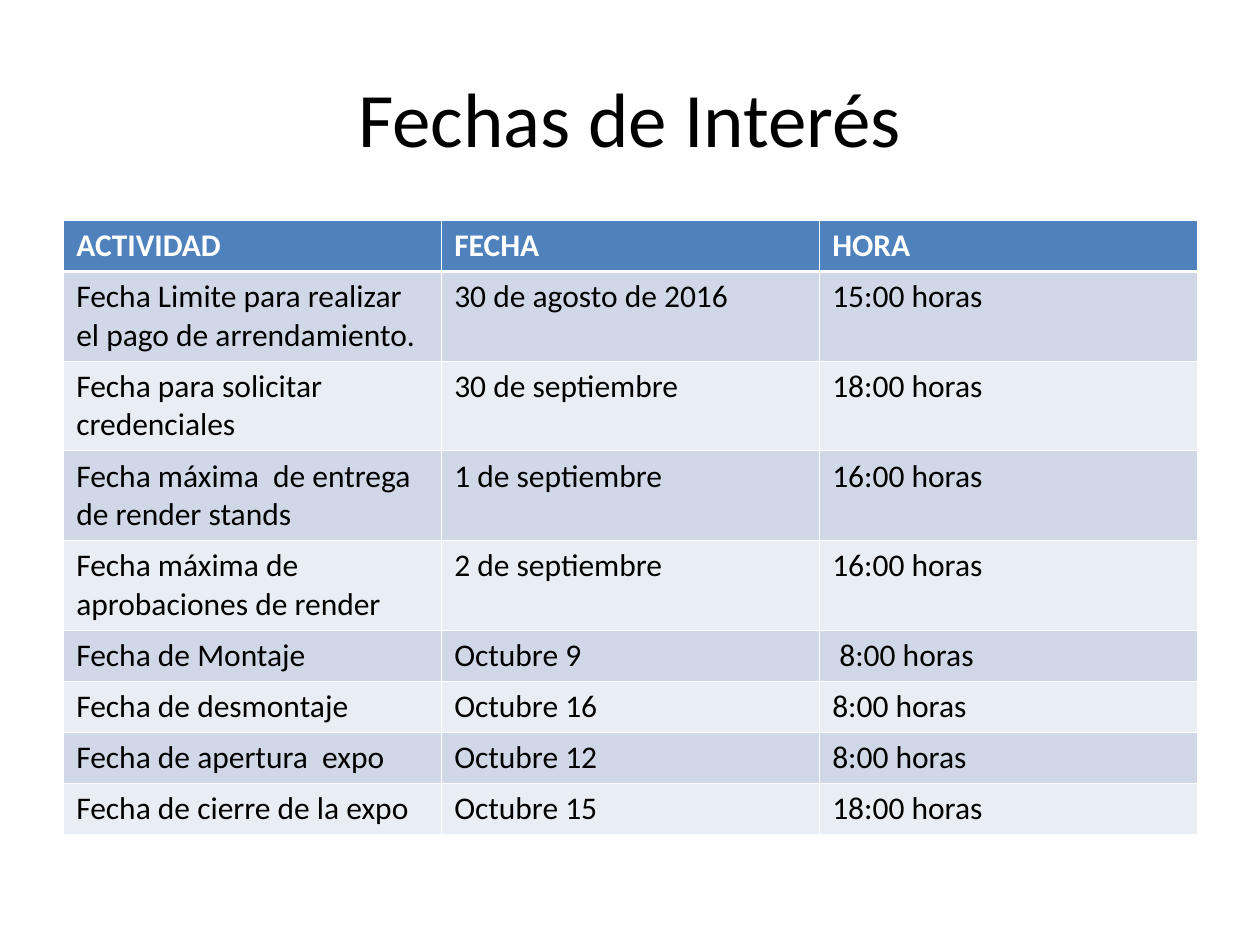
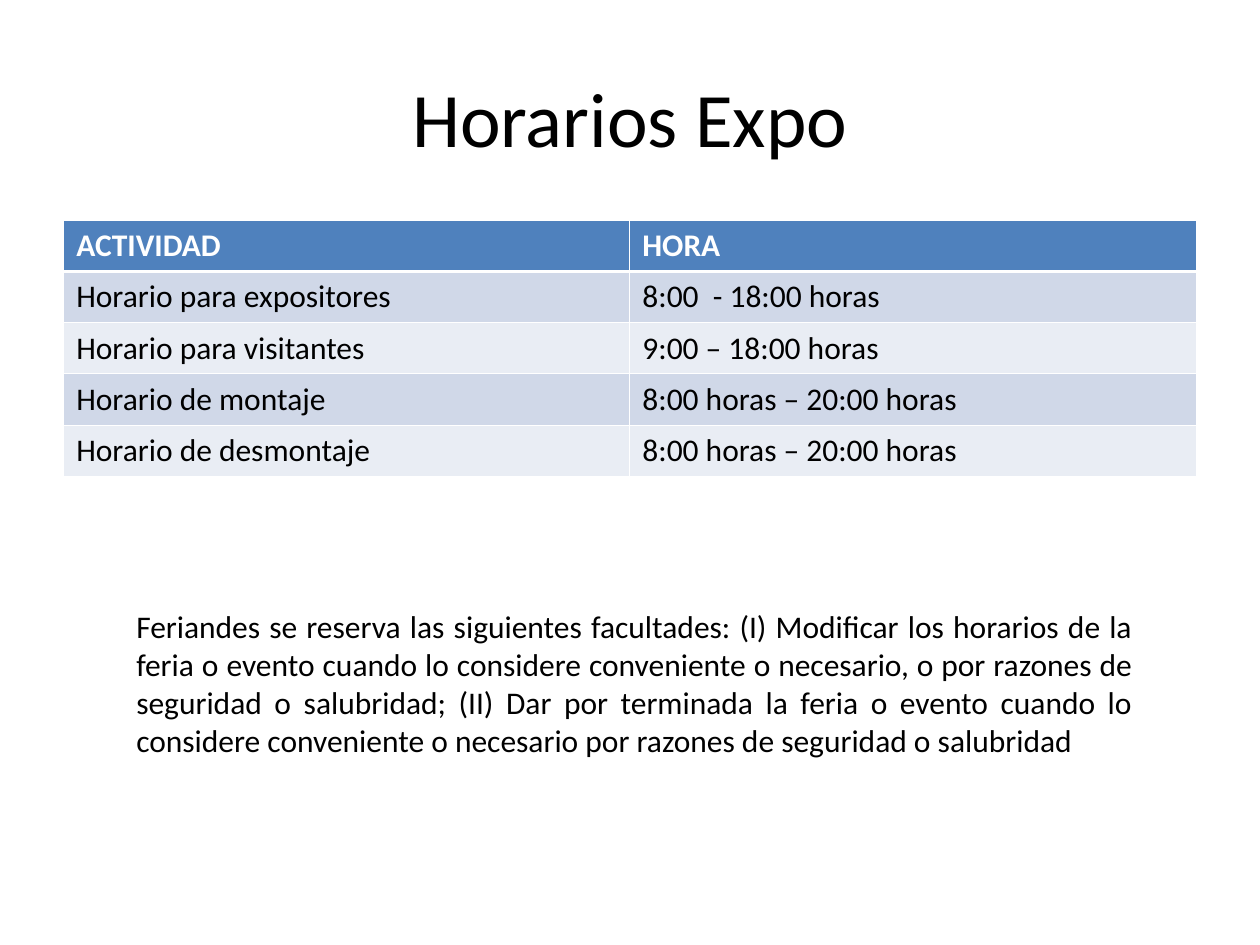
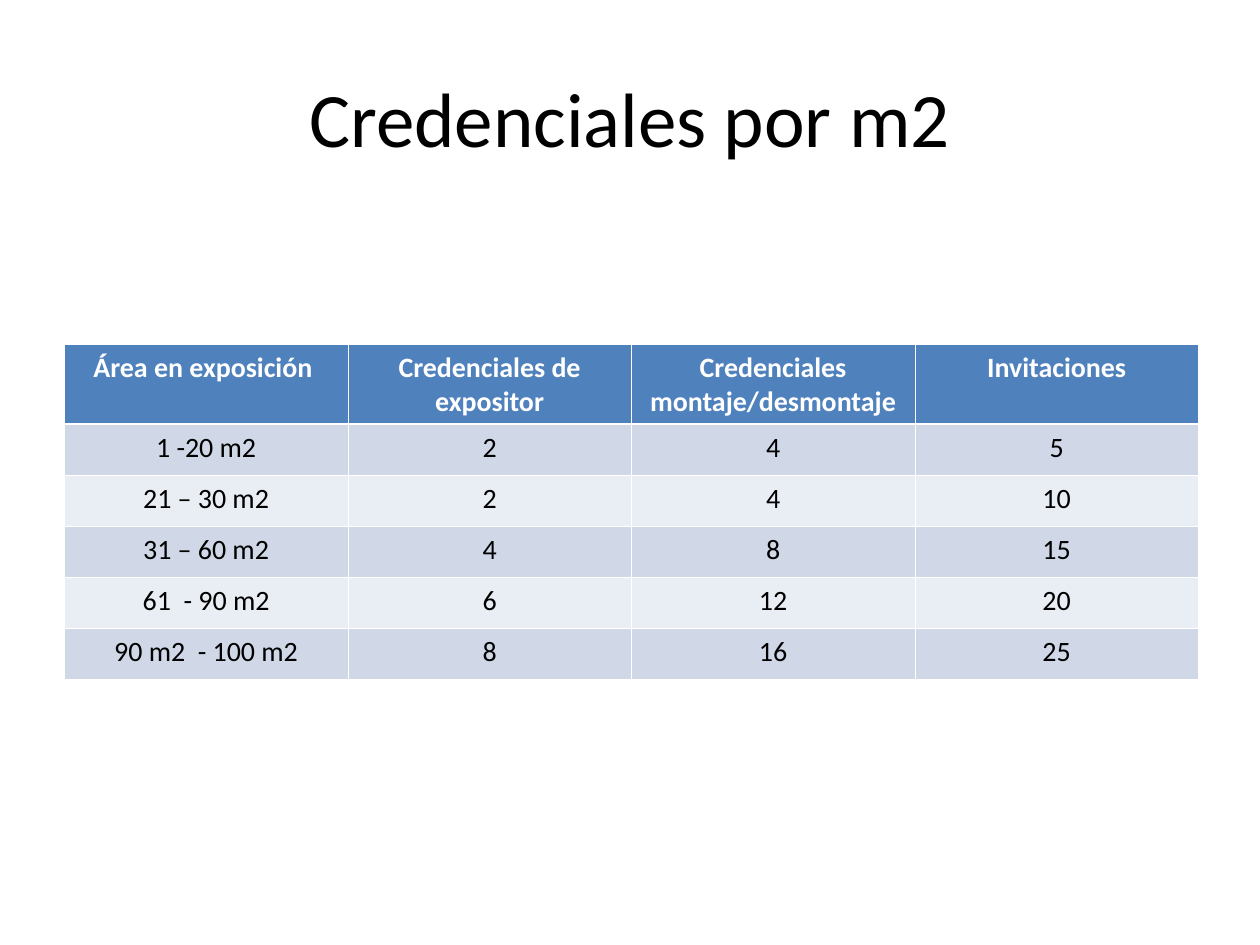
from dataclasses import dataclass

from lxml import etree
from pptx import Presentation
from pptx.dml.color import RGBColor
from pptx.enum.text import MSO_ANCHOR, PP_ALIGN
from pptx.oxml.ns import qn
from pptx.util import Pt

LEFT, CENTER, JUSTIFY = PP_ALIGN.LEFT, PP_ALIGN.CENTER, PP_ALIGN.JUSTIFY
TOP, MIDDLE = MSO_ANCHOR.TOP, MSO_ANCHOR.MIDDLE
BLANK_LAYOUT = 6
ONE_LINE, TWO_LINES = 29.2, 51.2


@dataclass(frozen=True)
class Theme:
    font: str = "Calibri"
    ink: str = "000000"
    paper: str = "FFFFFF"
    header: str = "4F81BD"
    bands: tuple = ("D0D8E8", "E9EDF4")
    title_size: float = 44
    body_size: float = 18
    small_size: float = 16
    thin_line: float = 0.45
    thick_line: float = 1.47


class Deck:
    def __init__(self, theme):
        self.theme = theme
        self.deck = Presentation()
        self.deck.slide_width = Pt(720)
        self.deck.slide_height = Pt(540)
        self.page = None

    def start_page(self, title):
        self.page = self.deck.slides.add_slide(self.deck.slide_layouts[BLANK_LAYOUT])
        self.add_text((36, 21.6, 648, 90), title, self.theme.title_size, CENTER, MIDDLE)

    def add_text(self, place, text, size, align, anchor=TOP):
        box = self.page.shapes.add_textbox(*map(Pt, place))
        box.text_frame.word_wrap = True
        box.text_frame.vertical_anchor = anchor
        self.fill_text(box.text_frame, text, size, align)

    def fill_text(self, frame, text, size, align, color=None, bold=False):
        para = frame.paragraphs[0]
        para.alignment = align
        span = para.add_run()
        span.text = text
        for name, value in {"name": self.theme.font, "size": Pt(size), "bold": bold}.items():
            setattr(span.font, name, value)
        span.font.color.rgb = RGBColor.from_string(color or self.theme.ink)

    def add_table(self, left, top, width, heights, rows, size, align=LEFT):
        columns = len(rows[0])
        frame = self.page.shapes.add_table(
            len(rows), columns, Pt(left), Pt(top), Pt(width), Pt(sum(heights)))
        table = frame.table
        for column in table.columns:
            column.width = Pt(width / columns)
        for number, (texts, height) in enumerate(zip(rows, heights)):
            table.rows[number].height = Pt(height)
            is_header = number == 0
            fill = self.theme.header if is_header else self.theme.bands[(number - 1) % 2]
            color = self.theme.paper if is_header else self.theme.ink
            for position, text in enumerate(texts):
                cell = table.cell(number, position)
                self.add_borders(cell, number)
                cell.fill.solid()
                cell.fill.fore_color.rgb = RGBColor.from_string(fill)
                self.fill_text(cell.text_frame, text, size, align, color, is_header)

    def add_borders(self, cell, number):
        thin, thick = self.theme.thin_line, self.theme.thick_line
        widths = {"L": thin, "R": thin,
                  "T": thick if number == 1 else thin,
                  "B": thick if number == 0 else thin}
        properties = cell._tc.get_or_add_tcPr()
        for side, width in widths.items():
            line = etree.SubElement(properties, qn(f"a:ln{side}"), w=str(Pt(width)))
            solid = etree.SubElement(line, qn("a:solidFill"))
            etree.SubElement(solid, qn("a:srgbClr"), val=self.theme.paper)


DATES = [
    ("ACTIVIDAD", "FECHA", "HORA"),
    ("Fecha Limite para realizar el pago de arrendamiento.", "30 de agosto de 2016", "15:00 horas"),
    ("Fecha para solicitar credenciales", "30 de septiembre", "18:00 horas"),
    ("Fecha máxima  de entrega de render stands", "1 de septiembre", "16:00 horas"),
    ("Fecha máxima de aprobaciones de render", "2 de septiembre", "16:00 horas"),
    ("Fecha de Montaje", "Octubre 9", " 8:00 horas"),
    ("Fecha de desmontaje", "Octubre 16", "8:00 horas"),
    ("Fecha de apertura  expo", "Octubre 12", "8:00 horas"),
    ("Fecha de cierre de la expo", "Octubre 15", "18:00 horas"),
]

SCHEDULE = [
    ("ACTIVIDAD", "HORA"),
    ("Horario para expositores", "8:00  - 18:00 horas"),
    ("Horario para visitantes", "9:00 – 18:00 horas"),
    ("Horario de montaje", "8:00 horas – 20:00 horas"),
    ("Horario de desmontaje", "8:00 horas – 20:00 horas"),
]

RESERVED_RIGHTS = (
    "Feriandes se reserva las siguientes facultades: (I) Modificar los horarios de la feria "
    "o evento cuando lo considere conveniente o necesario, o por razones de seguridad o "
    "salubridad; (II) Dar por terminada la feria o evento cuando lo considere conveniente o "
    "necesario por razones de seguridad o salubridad"
)

CREDENTIALS = [
    ("Área en exposición ", "Credenciales de expositor", "Credenciales montaje/desmontaje",
     "Invitaciones"),
    ("1 -20 m2", "2", "4", "5"),
    ("21 – 30 m2", "2", "4", "10"),
    ("31 – 60 m2", "4", "8", "15"),
    ("61  - 90 m2", "6", "12", "20"),
    ("90 m2  - 100 m2", "8", "16", "25"),
]


def main():
    theme = Theme()
    deck = Deck(theme)

    deck.start_page("Fechas de Interés")
    date_heights = [ONE_LINE] + [TWO_LINES] * 4 + [ONE_LINE] * 4
    deck.add_table(36.4, 126, 648, date_heights, DATES, theme.body_size)

    deck.start_page("Horarios Expo")
    deck.add_table(36.4, 126, 647, [ONE_LINE] * len(SCHEDULE), SCHEDULE, theme.body_size)
    deck.add_text((70.8, 343.6, 583.6, 115), RESERVED_RIGHTS, theme.body_size, JUSTIFY)

    deck.start_page("Credenciales por m2")
    credential_heights = [45.8] + [ONE_LINE] * (len(CREDENTIALS) - 1)
    deck.add_table(36.8, 196.6, 648, credential_heights, CREDENTIALS, theme.small_size, CENTER)

    deck.deck.save("out.pptx")


if __name__ == "__main__":
    main()
